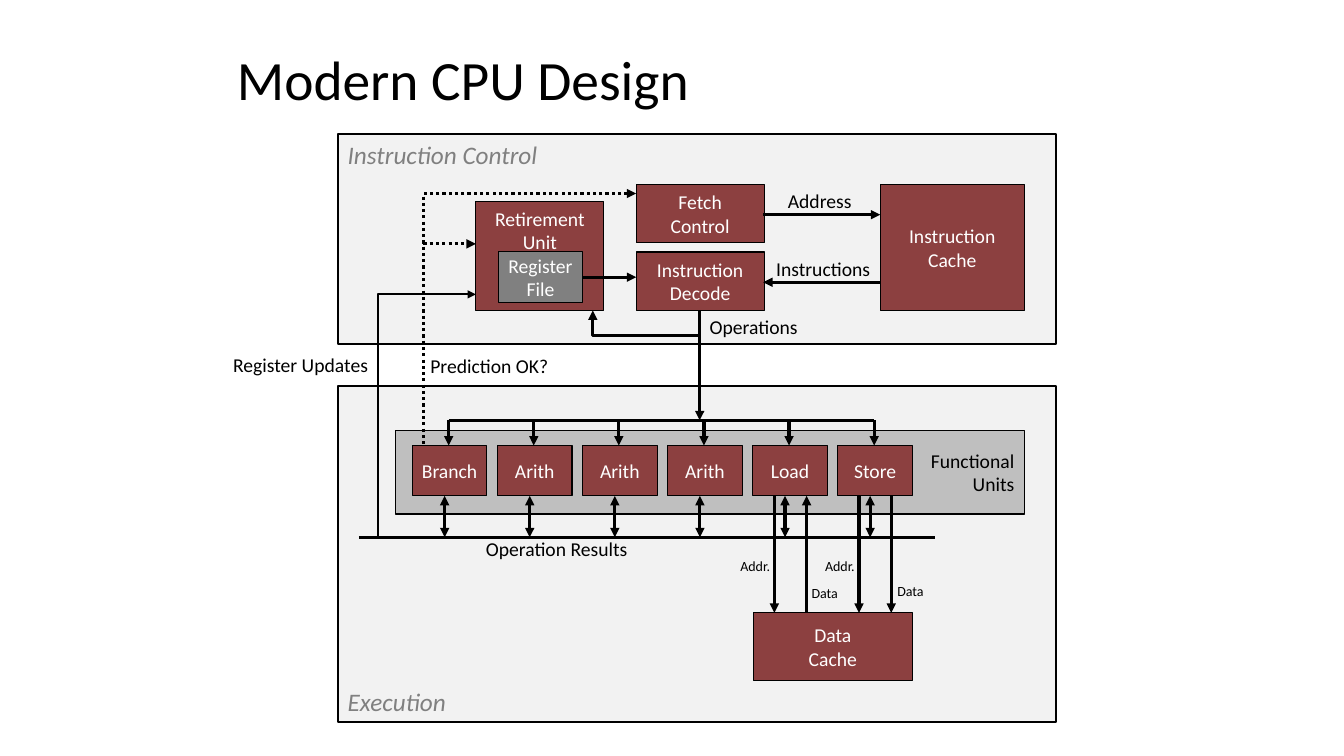
from lxml import etree
from pptx import Presentation
from pptx.dml.color import RGBColor
from pptx.enum.dml import MSO_LINE
from pptx.enum.shapes import MSO_CONNECTOR, MSO_SHAPE
from pptx.enum.text import MSO_ANCHOR as Anchor, MSO_AUTO_SIZE, PP_ALIGN as Align
from pptx.oxml.ns import qn
from pptx.util import Inches, Pt

BLACK, WHITE, GRAY = "000000", "FFFFFF", "808080"
UNIT_RED, PANEL, BAND = "8C4040", "F2F2F2", "BFBFBF"


def color(hex_string):
    """Turn a hex string into a colour."""
    return RGBColor.from_string(hex_string)


class Diagram:
    """Holds the style and the current slide."""

    font = "Calibri"

    def __init__(self, slide):
        """Keep the slide to draw on."""
        self.slide = slide
        self.shapes = slide.shapes

    def set_text(self, shape, text, size, ink, align=Align.LEFT, anchor=Anchor.TOP, italic=False):
        """Put formatted text into a shape."""
        frame = shape.text_frame
        frame.text = text
        frame.word_wrap = False
        frame.vertical_anchor = anchor
        for paragraph in frame.paragraphs:
            paragraph.alignment = align
            for run in paragraph.runs:
                run.font.name = self.font
                run.font.size = Pt(size)
                run.font.italic = italic
                run.font.color.rgb = color(ink)

    def title(self, text, left, top, width, height):
        """Place and fill the title placeholder."""
        title = self.shapes.title
        title.left, title.top = Inches(left), Inches(top)
        title.width, title.height = Inches(width), Inches(height)
        self.set_text(title, text, 39.6, BLACK, anchor=Anchor.MIDDLE)
        title.text_frame.word_wrap = True
        title.text_frame.paragraphs[0].line_spacing = 0.9

    def box(self, text, left, top, width, height, fill=UNIT_RED, ink=WHITE, size=14,
            align=Align.CENTER, anchor=Anchor.MIDDLE, italic=False, border=0.75):
        """Draw a bordered rectangle with text."""
        shape = self.shapes.add_shape(MSO_SHAPE.RECTANGLE, Inches(left), Inches(top),
                                      Inches(width), Inches(height))
        shape.shadow.inherit = False
        shape.fill.solid()
        shape.fill.fore_color.rgb = color(fill)
        self.stroke(shape.line, border)
        self.set_text(shape, text, size, ink, align, anchor, italic)

    def panel(self, text, top, height, anchor):
        """Draw one of the two large stages."""
        self.box(text, 3.35, top, 7.12, height, PANEL, GRAY, 18, Align.LEFT, anchor, True, 1.5)

    def label(self, text, left, top, width, height=0.34, size=14, align=Align.CENTER):
        """Add a free-standing label."""
        label = self.shapes.add_textbox(Inches(left), Inches(top), Inches(width), Inches(height))
        self.set_text(label, text, size, BLACK, align)
        label.text_frame.auto_size = MSO_AUTO_SIZE.SHAPE_TO_FIT_TEXT

    def stroke(self, line, width, dotted=False, ends=()):
        """Style a line and its arrowheads, given as headEnd or tailEnd."""
        line.color.rgb = color(BLACK)
        line.width = Pt(width)
        if dotted:
            line.dash_style = MSO_LINE.ROUND_DOT
        for end in ends:
            etree.SubElement(line._ln, qn("a:" + end), type="triangle")

    def line(self, x1, y1, x2, y2, ends=("tailEnd",), dotted=False):
        """Draw a straight line, by default with an arrowhead at its end."""
        connector = self.shapes.add_connector(MSO_CONNECTOR.STRAIGHT, Inches(x1), Inches(y1),
                                              Inches(x2), Inches(y2))
        self.stroke(connector.line, 2.25, dotted, ends)
        etree.SubElement(connector._element.spPr, qn("a:effectLst"))

    def bent(self, points, end, width=2.25, dotted=False):
        """Draw an open bent line with one arrowhead."""
        corners = [(Inches(x), Inches(y)) for x, y in points]
        builder = self.shapes.build_freeform(*corners[0])
        builder.add_line_segments(corners[1:], close=False)
        shape = builder.convert_to_shape()
        shape.shadow.inherit = False
        shape.fill.background()
        self.stroke(shape.line, width, dotted, [end])


presentation = Presentation()
presentation.slide_width, presentation.slide_height = Inches(13.33), Inches(7.5)
diagram = Diagram(presentation.slides.add_slide(presentation.slide_layouts[5]))
diagram.title("Modern CPU Design", 2.25, 0.5, 6.41, 0.63)

# Stages and the band of functional units
diagram.panel("Execution", 3.83, 3.33, Anchor.BOTTOM)
diagram.box("Functional\nUnits", 3.92, 4.27, 6.24, 0.83, BAND, BLACK, align=Align.RIGHT)
diagram.panel("Instruction Control", 1.33, 2.08, Anchor.TOP)

# Functional units, fed from the operations bus and tied to the results bus
UNIT_TOP, UNIT_BOTTOM, OPERATIONS_BUS, RESULTS_BUS = 4.42, 4.92, 4.17, 5.33
FIRST_UNIT, LAST_UNIT = 4.09, 8.31
units = ["Branch", "Arith", "Arith", "Arith", "Load", "Store"]
unit_step = (LAST_UNIT - FIRST_UNIT) / (len(units) - 1)
for index, unit in enumerate(units):
    left = FIRST_UNIT + index * unit_step
    diagram.box(unit, left, UNIT_TOP, 0.74, UNIT_BOTTOM - UNIT_TOP)
    diagram.line(left + 0.36, OPERATIONS_BUS, left + 0.36, UNIT_TOP)
    diagram.line(left + 0.32, UNIT_BOTTOM, left + 0.32, RESULTS_BUS, ("headEnd", "tailEnd"))
diagram.line(4.45, OPERATIONS_BUS, 8.67, OPERATIONS_BUS, ())
diagram.line(3.56, RESULTS_BUS, 9.27, RESULTS_BUS, ())

# Caches, fetch and decode
CACHE_TOP = 6.08
diagram.box("Instruction\nCache", 8.73, 1.83, 1.43, 1.25)
diagram.box("Data\nCache", 7.47, CACHE_TOP, 1.58, 0.67)
for text, top in [("Fetch\nControl", 1.83), ("Instruction\nDecode", 2.5)]:
    diagram.box(text, 6.31, top, 1.27, 0.58)
diagram.line(7.57, 2.13, 8.73, 2.13)
diagram.line(8.73, 2.8, 7.57, 2.8)
diagram.line(6.94, 3.08, 6.94, OPERATIONS_BUS)

# Memory traffic of Load and Store
for x in (7.68, 8.52, 8.84):
    diagram.line(x, UNIT_BOTTOM, x, CACHE_TOP)
diagram.line(8, CACHE_TOP, 8, UNIT_BOTTOM)
for text, left, top, width in [("Data", 8.79, 5.73, 0.48), ("Data", 7.94, 5.75, 0.48),
                               ("Addr.", 7.23, 5.48, 0.52), ("Addr.", 8.07, 5.48, 0.52)]:
    diagram.label(text, left, top, width, 0.27, 10)

# Retirement unit and feedback paths
diagram.bent([(6.31, 1.92), (4.2, 1.92), (4.2, UNIT_TOP)], "headEnd", dotted=True)
diagram.box("Retirement\nUnit", 4.72, 2, 1.27, 1.08, anchor=Anchor.TOP)
diagram.box("Register\nFile", 4.94, 2.5, 0.84, 0.5, GRAY)
diagram.line(4.2, 2.42, 4.72, 2.42, dotted=True)
diagram.line(5.78, 2.75, 6.31, 2.75)
diagram.bent([(4.72, 2.92), (3.75, 2.92), (3.75, RESULTS_BUS)], "headEnd", 1.5)
diagram.bent([(6.94, 3.33), (5.88, 3.33), (5.88, 3.08)], "tailEnd")

# Signal names
for text, left, top, width, align in [
    ("Address", 7.7, 1.83, 0.86, Align.CENTER),
    ("Instructions", 7.58, 2.5, 1.17, Align.CENTER),
    ("Operations", 6.92, 3.08, 1.11, Align.CENTER),
    ("Prediction OK?", 4.17, 3.46, 1.41, Align.LEFT),
    ("Register Updates", 2.17, 3.45, 1.58, Align.RIGHT),
    ("Operation Results", 4.72, 5.28, 1.66, Align.LEFT),
]:
    diagram.label(text, left, top, width, align=align)

presentation.save("out.pptx")
